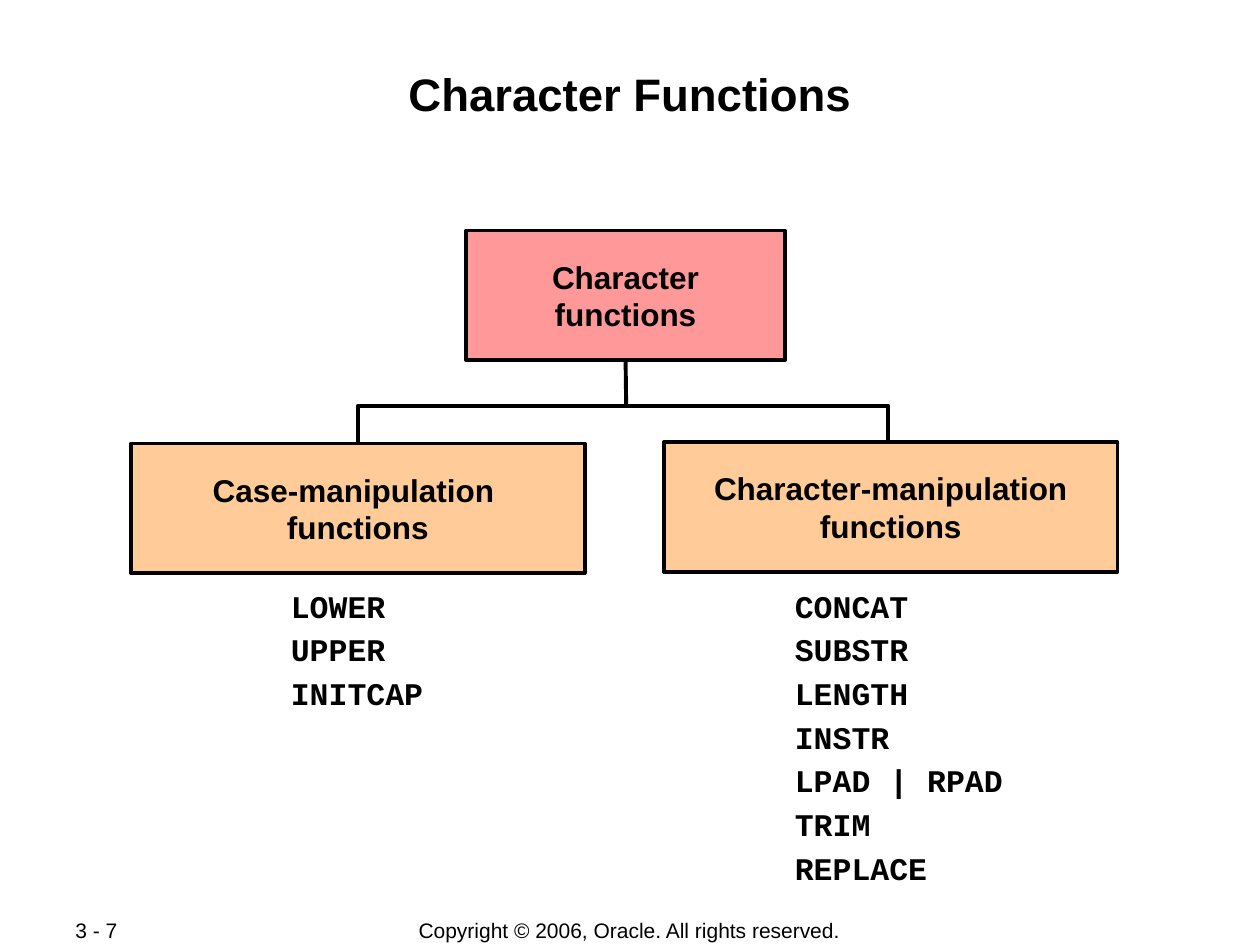
from pptx import Presentation
from pptx import util as u
from pptx.dml.color import RGBColor
from pptx.enum import shapes, text
from pptx.oxml import xmlchemy

TITLE = "Character Functions"
FOOTERS = [
    ("Copyright © 2006, Oracle. All rights reserved.", (2.75, 7.28, 4.49, 0.21), text.PP_ALIGN.CENTER),
    ("3 - 7", (0.5, 7.28, 1.06, 0.2), text.PP_ALIGN.LEFT),
]
ROOT = (["Character", "functions"], (3.7, 1.83, 2.53, 1.03), "FF9999")
BRANCHES = [
    (["Case-manipulation ", "functions"], (1.04, 3.52, 3.6, 1.03), "FFCC99"),
    (["Character-manipulation", "functions"], (5.27, 3.51, 3.6, 1.03), "FFCC99"),
]
FUNCTION_LISTS = [
    (["LOWER", "UPPER", "INITCAP"], (2.21, 4.59, 1.25, 1.04), False),
    (["CONCAT", "SUBSTR", "LENGTH", "INSTR", "LPAD | RPAD", "TRIM", "REPLACE"],
     (6.21, 4.59, 1.88, 2.37), True),
]
BRACKET = [(2.84, 3.76), (2.84, 3.22), (7.05, 3.22), (7.05, 3.8)]
BLACK = "000000"


def color(value):
    return RGBColor.from_string(value)


def inches(values):
    return [u.Inches(value) for value in values]


def set_text(frame, lines, size, font="Arial", bold=True, align=text.PP_ALIGN.CENTER):
    frame.text = "\n".join(lines)
    for paragraph in frame.paragraphs:
        paragraph.alignment = align
        for run in paragraph.runs:
            run.font.name = font
            run.font.size = u.Pt(size)
            run.font.bold = bold
            run.font.color.rgb = color(BLACK)


def set_line(shape):
    shape.line.color.rgb = color(BLACK)
    shape.line.width = u.Pt(2.25)


def add_box(slide, lines, box, fill):
    shape = slide.shapes.add_shape(shapes.MSO_SHAPE.RECTANGLE, *inches(box))
    shape.shadow.inherit = False
    shape.fill.solid()
    shape.fill.fore_color.rgb = color(fill)
    set_line(shape)
    shape.text_frame.word_wrap = False
    shape.text_frame.vertical_anchor = text.MSO_ANCHOR.MIDDLE
    set_text(shape.text_frame, lines, 18)
    return shape


def add_function_list(slide, names, box, wrap):
    frame = slide.shapes.add_textbox(*inches(box)).text_frame
    frame.word_wrap = wrap
    frame.margin_top = u.Inches(0.1)
    set_text(frame, names, 18, "Courier New", align=text.PP_ALIGN.LEFT)
    for index, paragraph in enumerate(frame.paragraphs):
        paragraph.line_spacing = 0.9
        paragraph.space_before = u.Pt(5.5 if index else 0)


def add_footer(slide, line, box, align):
    frame = slide.shapes.add_textbox(*inches(box)).text_frame
    frame.word_wrap = True
    frame.vertical_anchor = text.MSO_ANCHOR.MIDDLE
    set_text(frame, [line], 12, bold=False, align=align)


def add_title(slide):
    title = slide.shapes.title
    title.left, title.top, title.width, title.height = inches((0.67, 0.48, 8.66, 0.96))
    frame = title.text_frame
    frame.auto_size = text.MSO_AUTO_SIZE.NONE
    frame.vertical_anchor = text.MSO_ANCHOR.TOP
    frame.margin_left = frame.margin_right = frame.margin_bottom = u.Inches(0.01)
    frame.margin_top = u.Inches(0.04)
    set_text(frame, [TITLE], 26)


def add_tree_lines(slide, root):
    trunk = slide.shapes.add_connector(
        shapes.MSO_CONNECTOR.STRAIGHT, *inches((4.97, 3.22, 4.97, 2.86)))
    trunk.end_connect(root, 2)
    set_line(trunk)
    trunk._element.spPr.append(xmlchemy.OxmlElement("a:effectLst"))

    points = [inches(point) for point in BRACKET]
    builder = slide.shapes.build_freeform(*points[0])
    builder.add_line_segments(points[1:], close=False)
    bracket = builder.convert_to_shape()
    bracket.shadow.inherit = False
    bracket.fill.background()
    set_line(bracket)


def main():
    presentation = Presentation()
    presentation.slide_width, presentation.slide_height = inches((10, 7.5))
    slide = presentation.slides.add_slide(presentation.slide_layouts[5])
    for footer in FOOTERS:
        add_footer(slide, *footer)
    add_title(slide)
    root = add_box(slide, *ROOT)
    for function_list in FUNCTION_LISTS:
        add_function_list(slide, *function_list)
    add_tree_lines(slide, root)
    for branch in BRANCHES:
        add_box(slide, *branch)
    presentation.save("out.pptx")


if __name__ == "__main__":
    main()
